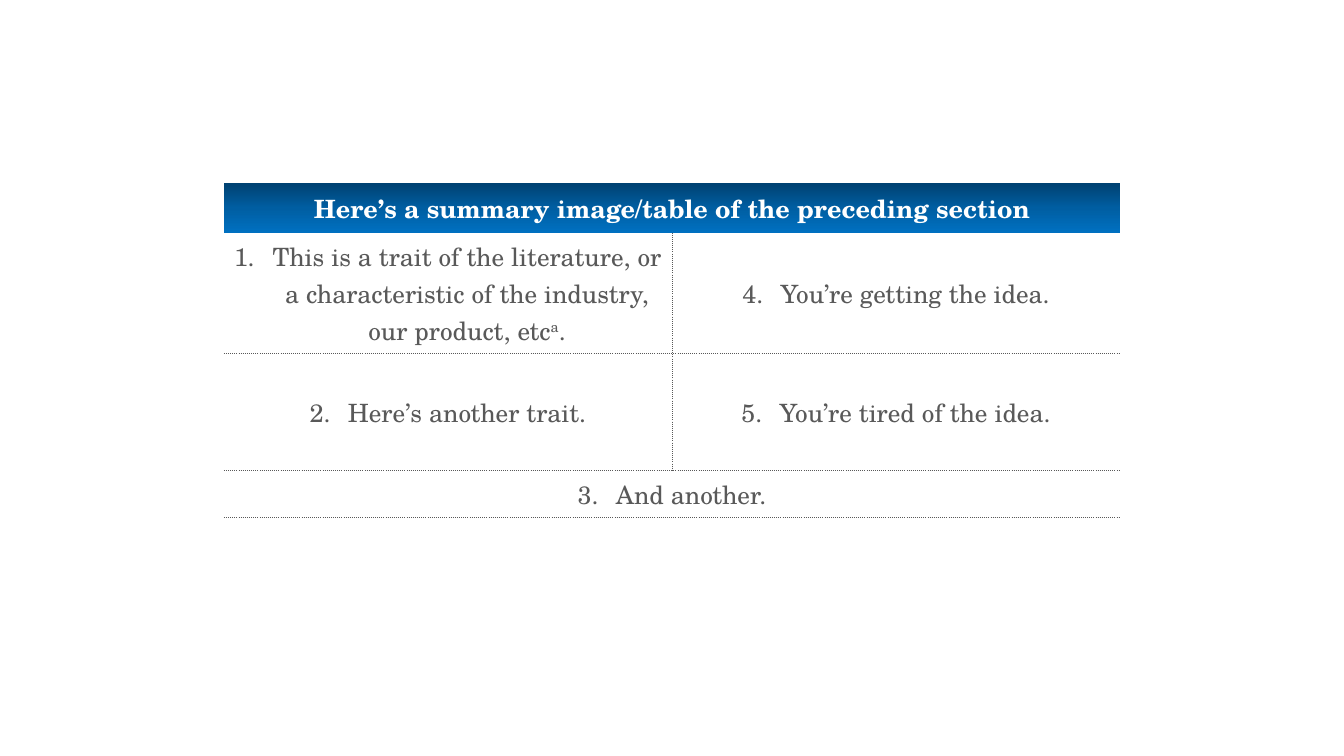
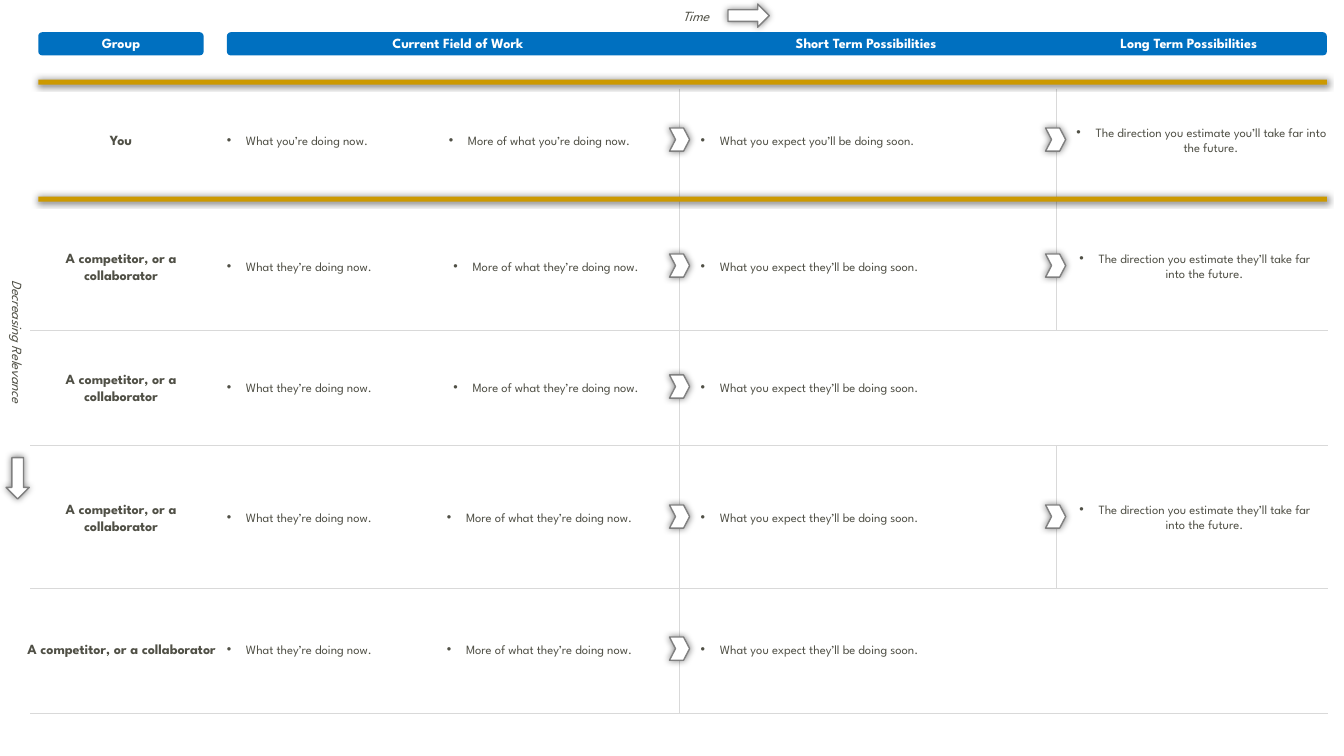
from lxml import etree
from pptx import Presentation
from pptx.dml.color import RGBColor
from pptx.enum.shapes import MSO_CONNECTOR, MSO_SHAPE
from pptx.enum.text import MSO_ANCHOR, PP_ALIGN
from pptx.oxml import parse_xml
from pptx.oxml.ns import nsdecls, qn
from pptx.util import Pt

PX = 9144
BLUE, GOLD, WHITE = "0070C0", "CC9900", "FFFFFF"
INK, GRAY, RULE, OUTLINE = "505046", "595959", "D9D9D9", "808080"
SANS, SERIF = "League Spartan", "TeX Gyre Schola"
LEFT, CENTER = PP_ALIGN.LEFT, PP_ALIGN.CENTER
MIDDLE = MSO_ANCHOR.MIDDLE
STRAIGHT = MSO_CONNECTOR.STRAIGHT
RECT, ROUNDED = MSO_SHAPE.RECTANGLE, MSO_SHAPE.ROUNDED_RECTANGLE
ARROW, CHEVRON = MSO_SHAPE.RIGHT_ARROW, MSO_SHAPE.CHEVRON
rgb = RGBColor.from_string


def add_text(slide, box, text, size=10, color=INK, bold=False, italic=False,
             align=CENTER, bullet=False, rotation=0):
    label = slide.shapes.add_textbox(*(n * PX for n in box))
    label.rotation = rotation
    frame = label.text_frame
    frame.word_wrap = True
    frame.vertical_anchor = MIDDLE
    frame.margin_left = frame.margin_right = 0
    frame.margin_top = frame.margin_bottom = 0
    paragraph = frame.paragraphs[0]
    paragraph.text = text
    paragraph.alignment = align
    font = paragraph.font
    font.name, font.size, font.bold, font.italic = SANS, Pt(size), bold, italic
    font.color.rgb = rgb(color)
    if bullet:
        properties = paragraph._p.get_or_add_pPr()
        properties.set("marL", str(19 * PX))
        properties.set("indent", str(-19 * PX))
        properties.insert(0, parse_xml(f'<a:buChar {nsdecls("a")} char="•"/>'))
        properties.insert(0, parse_xml(f'<a:buFont {nsdecls("a")} typeface="Arial"/>'))


def add_part(slide, kind, box, color, outline=None, glow=False, rotation=0):
    part = slide.shapes.add_shape(kind, *(n * PX for n in box))
    part.rotation = rotation
    part.fill.solid()
    part.fill.fore_color.rgb = rgb(color)
    if outline:
        part.line.color.rgb = rgb(outline)
        part.line.width = Pt(1)
    else:
        part.line.fill.background()
    part.shadow.inherit = False
    if glow:
        part._element.spPr.find(qn("a:effectLst")).append(parse_xml(
            f'<a:outerShdw {nsdecls("a")} blurRad="63500" dist="0" dir="0" algn="ctr" '
            'rotWithShape="0"><a:srgbClr val="000000"><a:alpha val="50000"/>'
            '</a:srgbClr></a:outerShdw>'))
    return part


prs = Presentation()
prs.slide_width, prs.slide_height = 1333 * PX, 750 * PX
blank = prs.slide_layouts[6]

summary = prs.slides.add_slide(blank)
traits = summary.shapes.add_table(4, 2, 222 * PX, 182 * PX, 889 * PX, 310 * PX).table
traits.first_row = traits.horz_banding = False
traits._tbl.tblPr.find(qn("a:tableStyleId")).text = "{2D5ABB26-0587-4C30-8999-92F81FD0307C}"
for row, height in zip(traits.rows, (41, 113, 116, 41)):
    row.height = height * PX
for row in (0, 3):
    traits.cell(row, 0).merge(traits.cell(row, 1))

for row in range(4):
    for column in range(2):
        cell = traits.cell(row, column)
        properties = cell._tc.get_or_add_tcPr()
        if row == 0:
            stops = "".join(
                f'<a:gs pos="{position}"><a:srgbClr val="{color}"/></a:gs>'
                for position, color in ((0, "004272"), (50000, "005EA2"), (100000, BLUE)))
            properties.append(parse_xml(
                f'<a:gradFill {nsdecls("a")}><a:gsLst>{stops}</a:gsLst>'
                '<a:lin ang="5400000" scaled="0"/></a:gradFill>'))
            continue
        cell.vertical_anchor = MIDDLE
        cell.fill.solid()
        cell.fill.fore_color.rgb = rgb(WHITE)
        sides = ["lnB"]
        if row > 1:
            sides.insert(0, "lnT")
        if row < 3:
            sides.insert(0, ("lnR", "lnL")[column])
        for position, side in enumerate(sides):
            properties.insert(position, parse_xml(
                f'<a:{side} {nsdecls("a")} w="6350"><a:solidFill><a:srgbClr val="{GRAY}"/>'
                f'</a:solidFill><a:prstDash val="sysDot"/></a:{side}>'))

entries = [
    (0, 0, None, ["Here’s a summary image/table of the preceding section"]),
    (1, 0, 1, ["This is a trait of the literature, or a characteristic of the industry, "
               "our product, etc", "a", "."]),
    (2, 0, 2, ["Here’s another trait."]),
    (3, 0, 3, ["And another."]),
    (1, 1, 4, ["You’re getting the idea."]),
    (2, 1, 5, ["You’re tired of the idea."]),
]
for row, column, number, pieces in entries:
    paragraph = traits.cell(row, column).text_frame.paragraphs[0]
    for piece in pieces:
        run = paragraph.add_run()
        run.text = piece
        if piece == "a":
            run._r.get_or_add_rPr().set("baseline", "30000")
    paragraph.alignment = CENTER
    font = paragraph.font
    font.name, font.size, font.bold = SERIF, Pt(18), number is None
    font.color.rgb = rgb(GRAY if number else WHITE)
    if number:
        properties = paragraph._p.get_or_add_pPr()
        properties.set("marL", str(38 * PX))
        properties.set("indent", str(-38 * PX))
        properties.insert(0, parse_xml(
            f'<a:buAutoNum {nsdecls("a")} type="arabicPeriod" startAt="{number}"/>'))

outlook = prs.slides.add_slide(blank)
rules = [(674, 88, 674, 707), (1047, 88, 1047, 327), (1047, 442, 1047, 583)]
rules += [(30, y, 1317, y) for y in (327, 442, 583, 707)]
for ends in rules:
    rule = outlook.shapes.add_connector(STRAIGHT, *(n * PX for n in ends))
    rule.line.color.rgb = rgb(RULE)
    rule.line.width = Pt(0.1)
    etree.SubElement(rule._element.spPr, qn("a:effectLst"))

for left, width in ((38, 164), (225, 1091)):
    add_part(outlook, ROUNDED, (left, 32, width, 23), BLUE)
for left, width, heading in ((69, 102, "Group"), (364, 180, "Current Field of Work"),
                             (726, 266, "Short Term Possibilities"),
                             (1046, 266, "Long Term Possibilities")):
    add_text(outlook, (left, 26, width, 33), heading, color=WHITE, bold=True)
for top in (79, 195):
    add_part(outlook, RECT, (38, top, 1278, 5), GOLD, glow=True)

for axis, text_box, arrow_box, rotation in (
        ("Time", (677, 7, 36, 17), (722, 4, 41, 23), 0),
        ("Decreasing Relevance", (-75, 362, 185, 17), (-3, 463, 41, 23), 90)):
    add_text(outlook, text_box, axis, italic=True, align=LEFT, rotation=rotation)
    add_part(outlook, ARROW, arrow_box, WHITE, OUTLINE, True, rotation)

OTHER = "A competitor, or a collaborator"
groups = [
    ("You", "you", 139, 164, 192, 255),
    (OTHER, "they", 264, 164, 205, 242),
    (OTHER, "they", 384, 164, 205, 0),
    (OTHER, "they", 513, 164, 192, 242),
    (OTHER, "they", 644, 189, 192, 0),
]
for group, who, middle, group_width, more_width, far_width in groups:
    top = middle - 17
    add_text(outlook, (120 - group_width // 2, top, group_width, 34), group, bold=True)
    plans = [
        (225, 207, LEFT, f"What {who}’re doing now."),
        (439, more_width, CENTER, f"More of what {who}’re doing now."),
        (695, 286, LEFT, f"What you expect {who}’ll be doing soon."),
    ]
    steps = [664]
    if far_width:
        plans.append((1064, far_width, CENTER,
                      f"The direction you estimate {who}’ll take far into the future."))
        steps.append(1037)
    for left, width, align, plan in plans:
        add_text(outlook, (left, top, width, 34), plan, size=9, align=align, bullet=True)
    for left in steps:
        step = add_part(outlook, CHEVRON, (left, middle - 12, 20, 23), WHITE, OUTLINE, True)
        step.adjustments[0] = 0.3

prs.save("out.pptx")
